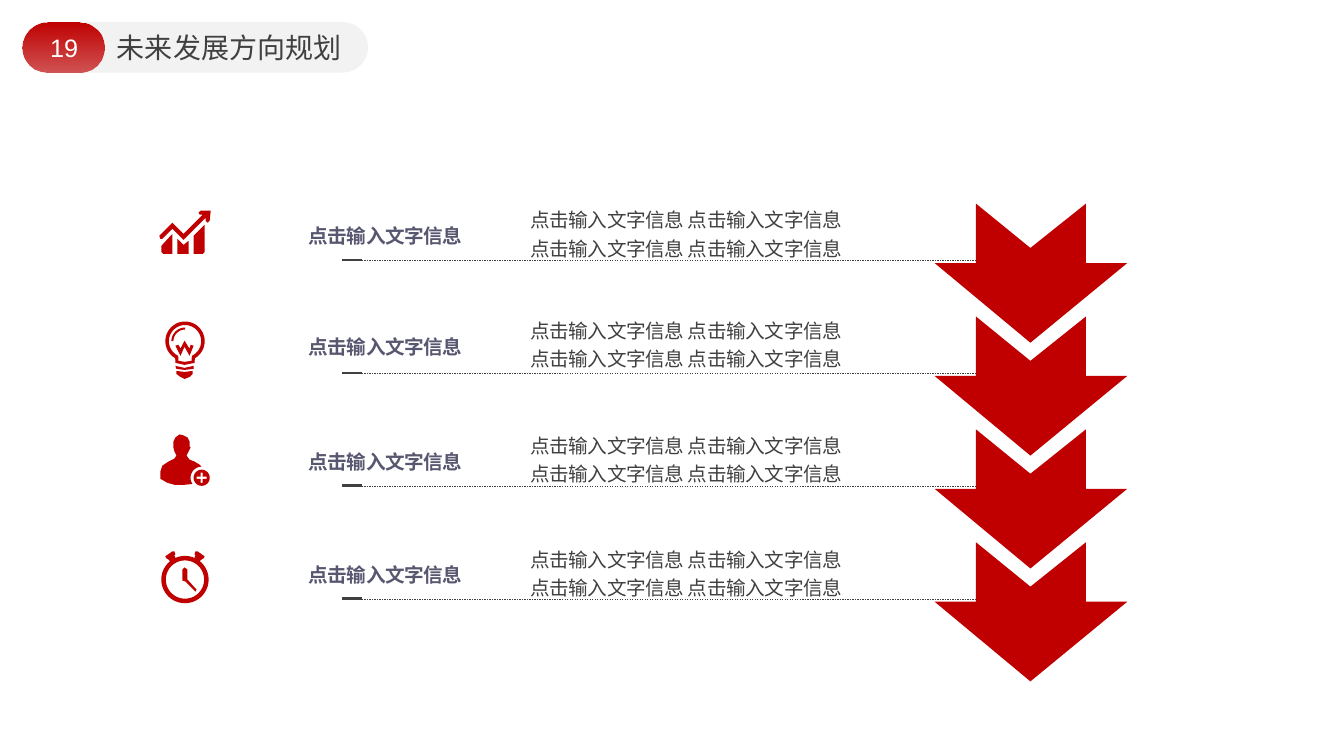
from math import cos, radians, sin

from pptx import Presentation
from pptx.dml.color import RGBColor
from pptx.enum.dml import MSO_LINE
from pptx.enum.shapes import MSO_CONNECTOR, MSO_SHAPE
from pptx.enum.text import MSO_ANCHOR, MSO_AUTO_SIZE, PP_ALIGN
from pptx.oxml.ns import qn
from pptx.util import Inches, Pt
from lxml.etree import SubElement

TITLE = "未来发展方向规划"
NUMBER = "19"
PHRASE = "点击输入文字信息"
ROWS = [(PHRASE, [f"{PHRASE} {PHRASE}"] * 2)] * 4
HEADING_TOPS = [2.17, 3.27, 4.41, 5.54]
RULE_TOP, ARROW_TOP, ROW_PITCH = 2.58, 2.02, 1.12

COLORS = {"red": "C00000", "pale": "F2F2F2", "white": "FFFFFF",
          "text": "404040", "heading": "585770"}
SANS, CJK = "Arial", "Noto Sans CJK SC"

ARROW = [(1.91, 0.59), (0.95, 1.38), (0, 0.59), (0.41, 0.59), (0.41, 0),
         (0.95, 0.44), (1.5, 0), (1.5, 0.59)]


def arc(center, radius, start, end, steps=40):
    angles = [radians(start + (end - start) * step / steps) for step in range(steps + 1)]
    return [(center[0] + radius * cos(angle), center[1] + radius * sin(angle))
            for angle in angles]


def mirror(points, axis):
    return [(2 * axis - x, y) for x, y in points]


BULB, CLOCK, BADGE = (1.835, 3.385), (1.835, 5.75), (2, 4.74)
BELL = [(1.64, 5.52), (1.71, 5.47), (1.73, 5.47), (1.74, 5.5), (1.73, 5.51),
        (1.74, 5.53), (1.69, 5.57), (1.67, 5.55), (1.65, 5.54)]

ICONS = {
    "chart": [
        [(1.6, 2.44), (1.71, 2.32), (1.71, 2.52), (1.62, 2.52), (1.6, 2.5)],
        [(1.76, 2.37), (1.82, 2.43), (1.87, 2.39), (1.87, 2.52), (1.76, 2.52)],
        [(1.92, 2.34), (2.03, 2.23), (2.03, 2.5), (2.01, 2.52), (1.92, 2.52)],
        [(1.58, 2.34), (1.71, 2.21), (1.82, 2.32), (2.01, 2.13), (1.98, 2.13),
         (1.97, 2.11), (1.99, 2.09), (2.09, 2.09), (2.08, 2.19), (2.06, 2.21),
         (2.04, 2.19), (2.04, 2.16), (1.82, 2.38), (1.71, 2.27), (1.61, 2.37),
         (1.59, 2.37)],
    ],
    "bulb": [
        arc(BULB, 0.195, 120, 420) + [(1.93, 3.6), (1.83, 3.62), (1.74, 3.6)],
        arc(BULB, 0.16, 115, 425) + [(1.9, 3.58), (1.83, 3.59), (1.77, 3.58)],
        arc(BULB, 0.135, 180, 270) + arc(BULB, 0.115, 270, 180),
        [(1.74, 3.43), (1.77, 3.42), (1.79, 3.46), (1.83, 3.38), (1.88, 3.46),
         (1.89, 3.42), (1.92, 3.43), (1.88, 3.53), (1.83, 3.44), (1.79, 3.53)],
        [(1.74, 3.63), (1.83, 3.65), (1.92, 3.63), (1.92, 3.66), (1.83, 3.67),
         (1.75, 3.66)],
        [(1.75, 3.68), (1.83, 3.69), (1.91, 3.68), (1.91, 3.71), (1.88, 3.74),
         (1.83, 3.76), (1.79, 3.74), (1.75, 3.71)],
    ],
    "person": [
        arc(BADGE, 0.11, 146, 270) + [
            (1.98, 4.61), (1.93, 4.58), (1.88, 4.56), (1.85, 4.52), (1.87, 4.48),
            (1.89, 4.44), (1.88, 4.43), (1.88, 4.38), (1.86, 4.34), (1.82, 4.32),
            (1.78, 4.31), (1.74, 4.34), (1.72, 4.38), (1.72, 4.44), (1.73, 4.48),
            (1.75, 4.52), (1.73, 4.55), (1.67, 4.58), (1.61, 4.62), (1.59, 4.68),
            (1.59, 4.75), (1.66, 4.79), (1.73, 4.81), (1.83, 4.81)],
        arc(BADGE, 0.08, 0, 360),
        [(1.95, 4.73), (1.99, 4.73), (1.99, 4.69), (2.01, 4.69), (2.01, 4.73),
         (2.05, 4.73), (2.05, 4.75), (2.01, 4.75), (2.01, 4.79), (1.99, 4.79),
         (1.99, 4.75), (1.95, 4.75)],
    ],
    "clock": [
        arc(CLOCK, 0.235, 0, 360),
        arc(CLOCK, 0.19, 0, 360),
        BELL,
        mirror(BELL, CLOCK[0]),
        [(1.81, 5.65), (1.83, 5.63), (1.86, 5.65), (1.86, 5.75), (1.95, 5.85),
         (1.94, 5.87), (1.84, 5.77), (1.81, 5.76)],
    ],
}


def paint(shape, color):
    shape.shadow.inherit = False
    shape.fill.solid()
    shape.fill.fore_color.rgb = RGBColor.from_string(COLORS[color])
    shape.line.fill.background()


def draw_outline(page, contours, color):
    scaled = [[(Inches(x), Inches(y)) for x, y in contour] for contour in contours]
    builder = page.shapes.build_freeform(*scaled[0][0], scale=1.0)
    builder.add_line_segments(scaled[0][1:], close=True)
    for contour in scaled[1:]:
        builder.move_to(*contour[0])
        builder.add_line_segments(contour[1:], close=True)
    paint(builder.convert_to_shape(), color)


def draw_rule(page, left, right, top, width, dash=None):
    rule = page.shapes.add_connector(MSO_CONNECTOR.STRAIGHT, Inches(left), Inches(top),
                                     Inches(right), Inches(top))
    rule.line.color.rgb = RGBColor.from_string(COLORS["text"])
    rule.line.width = Pt(width)
    if dash:
        rule.line.dash_style = dash
    SubElement(rule._element.spPr, qn("a:effectLst"))


def draw_pill(page, width, color):
    pill = page.shapes.add_shape(MSO_SHAPE.ROUNDED_RECTANGLE, Inches(0.22), Inches(0.22),
                                 Inches(width), Inches(0.5))
    pill.adjustments[0] = 0.5
    paint(pill, color)
    return pill


def write(box, lines, size=14, color="text", font=CJK, bold=False, align=PP_ALIGN.LEFT,
          line_spacing=1.0, tracking=0, wrap=True):
    frame = box.text_frame
    frame.word_wrap = wrap
    frame.auto_size = MSO_AUTO_SIZE.NONE
    frame.vertical_anchor = MSO_ANCHOR.TOP
    for index, line in enumerate(lines):
        para = frame.add_paragraph() if index else frame.paragraphs[0]
        para.alignment = align
        para.line_spacing = line_spacing
        para.space_before = Pt(0)
        span = para.add_run()
        span.text = line
        span.font.size = Pt(size)
        span.font.bold = bold
        span.font.name = font
        span.font.color.rgb = RGBColor.from_string(COLORS[color])
        properties = span._r.get_or_add_rPr()
        properties.set("spc", str(tracking))
        SubElement(properties, qn("a:ea")).set("typeface", CJK)


def add_text(page, left, top, width, height, lines, **style):
    box = page.shapes.add_textbox(Inches(left), Inches(top), Inches(width), Inches(height))
    write(box, lines, **style)


def draw_header(page):
    draw_pill(page, 3.43, "pale")
    badge = draw_pill(page, 0.82, "red")
    badge.fill.gradient()
    badge.fill.gradient_angle = 270
    for stop in badge.fill.gradient_stops:
        stop.color.rgb = RGBColor.from_string(COLORS["red"])
    last_color = badge._element.spPr.findall(".//" + qn("a:srgbClr"))[-1]
    SubElement(last_color, qn("a:alpha")).set("val", "65000")
    add_text(page, 0.38, 0.27, 0.51, 0.4, [NUMBER], size=18, color="white", font=SANS,
             align=PP_ALIGN.CENTER, wrap=False)
    title = page.shapes.title
    title.left, title.top, title.width, title.height = map(Inches, (1.06, 0.25, 2.45, 0.44))
    write(title, [TITLE], size=20, font=SANS, wrap=False)
    page.shapes._spTree.append(title._element)


def main():
    deck = Presentation()
    deck.slide_width, deck.slide_height = Inches(13.33), Inches(7.5)
    page = deck.slides.add_slide(deck.slide_layouts[5])
    draw_header(page)
    for index, ((heading, body), top) in enumerate(zip(ROWS, HEADING_TOPS)):
        offset = index * ROW_PITCH
        draw_rule(page, 3.59, 3.39, RULE_TOP + offset, 2)
        draw_rule(page, 3.59, 9.68, RULE_TOP + offset, 0.25, MSO_LINE.DASH)
        draw_outline(page, [[(9.27 + x, ARROW_TOP + offset + y) for x, y in ARROW]], "red")
        add_text(page, 2.96, top, 1.85, 0.34, [heading], color="heading", bold=True,
                 tracking=-30)
        add_text(page, 5.16, top - 0.2, 3.43, 0.62, body, line_spacing=1.2, tracking=-30)
    for contours in ICONS.values():
        draw_outline(page, contours, "red")
    deck.save("out.pptx")


if __name__ == "__main__":
    main()
